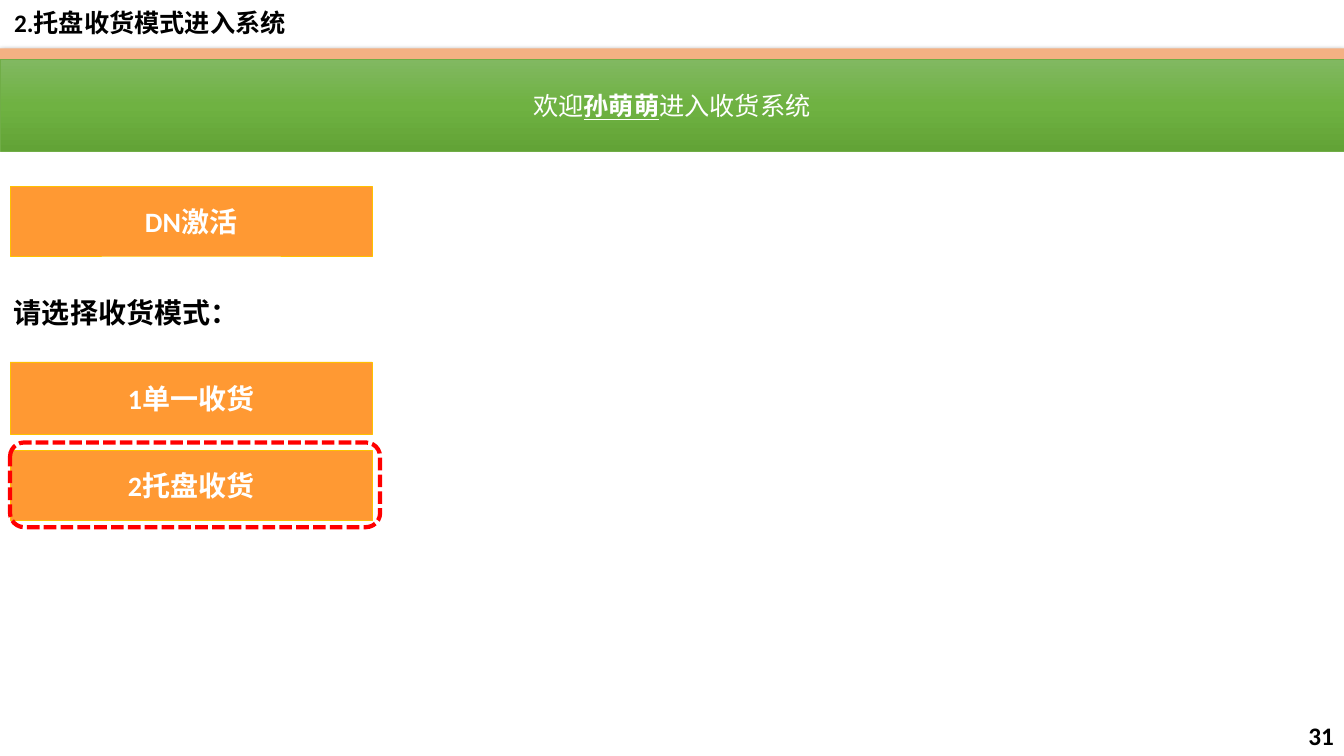
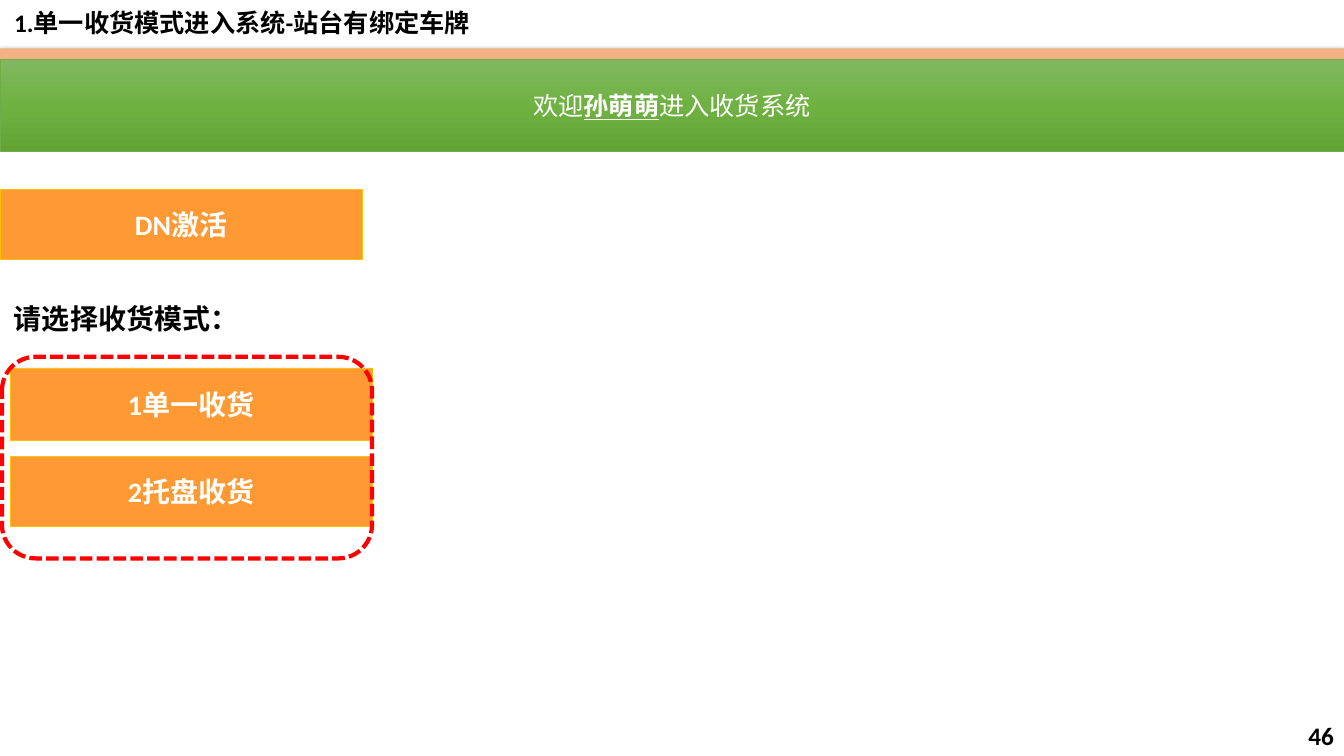
from lxml import etree
from pptx import Presentation
from pptx.dml.color import RGBColor
from pptx.enum.dml import MSO_LINE
from pptx.enum.shapes import MSO_SHAPE
from pptx.enum.text import MSO_ANCHOR, MSO_AUTO_SIZE, PP_ALIGN
from pptx.oxml.ns import qn
from pptx.util import Inches, Pt

FONT = "Calibri"
WHITE, BLACK, RED = "FFFFFF", "000000", "FF0000"
STRIP = "F4B183"
BANNER_STOPS = [(0, "81B861"), (50, "6FB242"), (100, "62A336")]
BANNER_LINE = "70AD47"
BUTTON_FILL, BUTTON_LINE = "FF9933", "FFC000"
SLIDE_WIDTH, SLIDE_HEIGHT = 13.33, 7.5
BUTTON_LEFT, BUTTON_WIDTH = 0.1, 3.59
TITLE_ONLY = 5


def color(hex_string):
    return RGBColor.from_string(hex_string)


def set_font(font, size, hex_string, bold=True):
    font.name, font.size, font.bold = FONT, Pt(size), bold
    font.color.rgb = color(hex_string)


def write(shape, text, size, hex_string, align=PP_ALIGN.LEFT):
    """Put one bold, vertically centred line of text in a shape."""
    frame = shape.text_frame
    frame.word_wrap = True
    frame.auto_size = MSO_AUTO_SIZE.NONE
    frame.vertical_anchor = MSO_ANCHOR.MIDDLE
    frame.text = text
    paragraph = frame.paragraphs[0]
    paragraph.alignment = align
    set_font(paragraph.font, size, hex_string)
    return paragraph


def add_shape(slide, kind, box, fill=None, line=None, line_width=0.5):
    shape = slide.shapes.add_shape(kind, *map(Inches, box))
    shape.shadow.inherit = False
    if fill:
        shape.fill.solid()
        shape.fill.fore_color.rgb = color(fill)
    else:
        shape.fill.background()
    if line:
        shape.line.color.rgb = color(line)
        shape.line.width = Pt(line_width)
    else:
        shape.line.fill.background()
    return shape


def add_text(slide, box, text, size, align=PP_ALIGN.LEFT):
    write(slide.shapes.add_textbox(*map(Inches, box)), text, size, BLACK, align)


def add_color(parent, hex_string):
    return etree.SubElement(parent, qn("a:srgbClr"), val=hex_string)


def set_drop_shadow(shape):
    effects = shape._element.spPr.find(qn("a:effectLst"))
    shadow = etree.SubElement(
        effects, qn("a:outerShdw"), blurRad=str(Pt(4.5)), dist=str(Pt(1.5)),
        dir="5400000", algn="ctr", rotWithShape="0")
    etree.SubElement(add_color(shadow, BLACK), qn("a:alpha"), val="63000")


def set_gradient(shape, stops):
    """Fill a shape from top to bottom with (percent, colour) stops."""
    shape.fill.gradient()
    shape.fill.gradient_angle = 270
    stop_list = shape._element.spPr.find(".//" + qn("a:gsLst"))
    for stop in list(stop_list):
        stop_list.remove(stop)
    for percent, hex_string in stops:
        stop = etree.SubElement(stop_list, qn("a:gs"), pos=str(percent * 1000))
        add_color(stop, hex_string)


def add_banner(slide):
    banner = add_shape(slide, MSO_SHAPE.RECTANGLE,
                       (0, 0.59, SLIDE_WIDTH, 0.91), line=BANNER_LINE)
    set_gradient(banner, BANNER_STOPS)
    paragraph = write(banner, "", 18, WHITE, PP_ALIGN.CENTER)
    for text, is_name in (("欢迎", False), ("孙萌萌", True), ("进入收货系统", False)):
        run = paragraph.add_run()
        run.text = text
        set_font(run.font, 18, WHITE, bold=is_name)
        run.font.underline = is_name


def add_button(slide, text, top, height=0.69, left=BUTTON_LEFT):
    button = add_shape(slide, MSO_SHAPE.RECTANGLE,
                       (left, top, BUTTON_WIDTH, height), BUTTON_FILL, BUTTON_LINE)
    write(button, text, 20, WHITE, PP_ALIGN.CENTER)


def add_mode_menu(slide, top):
    add_text(slide, (0.04, top, 3.87, 0.44), "请选择收货模式：", 20)
    add_button(slide, "1单一收货", top + 0.71, height=0.72)
    add_button(slide, "2托盘收货", top + 1.59)


def add_highlight(slide, box):
    frame = add_shape(slide, MSO_SHAPE.ROUNDED_RECTANGLE, box,
                      line=RED, line_width=3)
    frame.line.dash_style = MSO_LINE.SQUARE_DOT


def add_framed_slide(presentation, title, number):
    """Add a slide with the shared title, strip, banner and page number."""
    slide = presentation.slides.add_slide(presentation.slide_layouts[TITLE_ONLY])
    heading = slide.shapes.title
    heading.left, heading.top = Inches(0.04), Inches(0.04)
    heading.width, heading.height = Inches(11.5), Inches(0.4)
    write(heading, title, 18, BLACK).line_spacing = 0.9
    strip = add_shape(slide, MSO_SHAPE.RECTANGLE, (0, 0.48, SLIDE_WIDTH, 0.11), STRIP)
    set_drop_shadow(strip)
    add_banner(slide)
    add_text(slide, (SLIDE_WIDTH - 3, 7.1, 3, 0.4), str(number), 18, PP_ALIGN.RIGHT)
    return slide


def main():
    presentation = Presentation()
    presentation.slide_width = Inches(SLIDE_WIDTH)
    presentation.slide_height = Inches(SLIDE_HEIGHT)

    slide = add_framed_slide(presentation, "2.托盘收货模式进入系统", 31)
    add_button(slide, "DN激活", 1.85)
    add_mode_menu(slide, 2.88)
    add_highlight(slide, (0.1, 4.39, 3.67, 0.84))

    slide = add_framed_slide(presentation, "1.单一收货模式进入系统-站台有绑定车牌", 46)
    add_button(slide, "DN激活", 1.88, left=0)
    add_mode_menu(slide, 2.94)
    add_highlight(slide, (0.02, 3.54, 3.67, 2))

    presentation.save("out.pptx")


if __name__ == "__main__":
    main()
